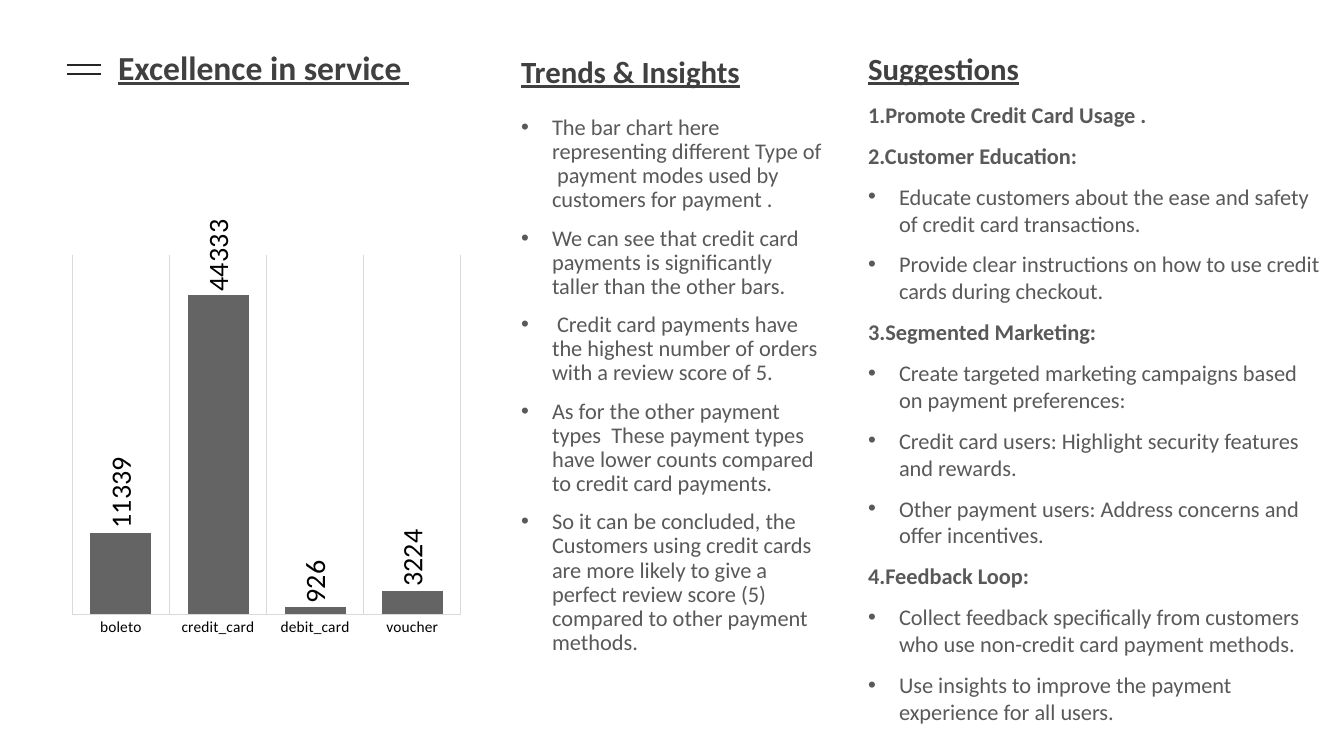
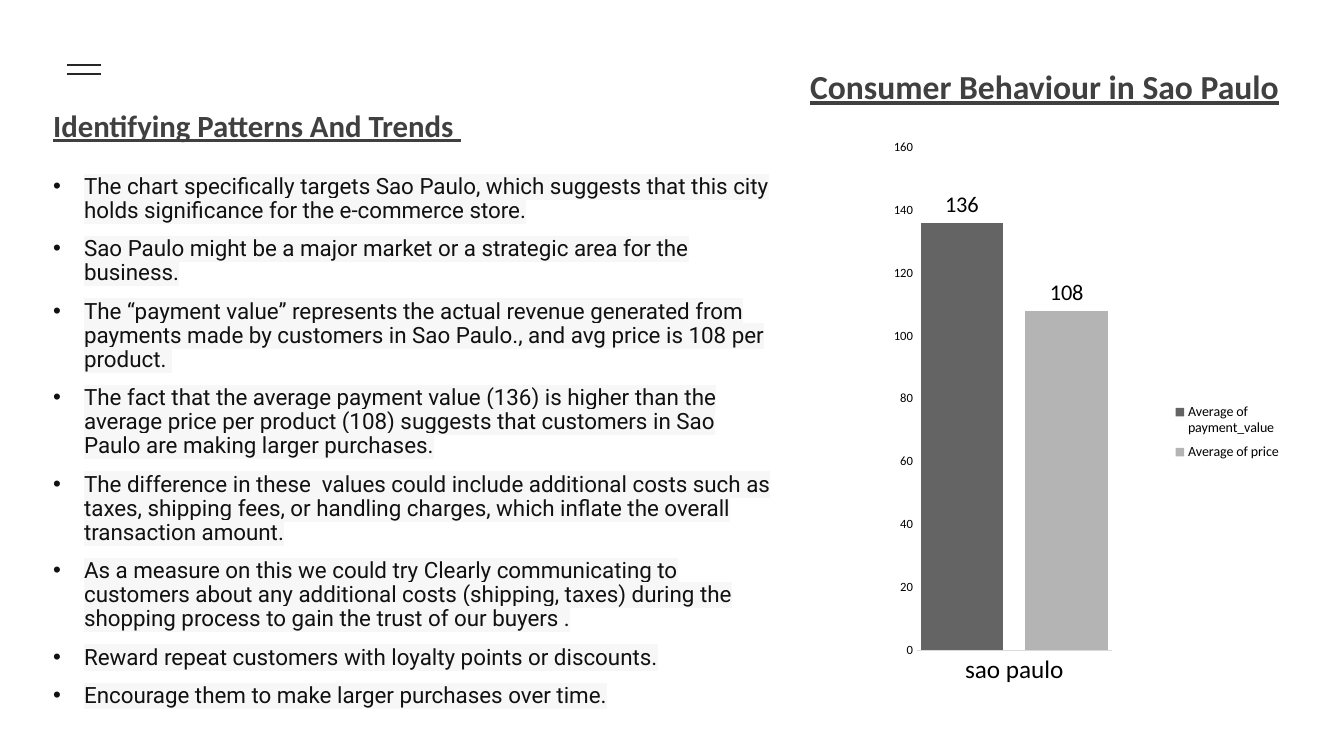
from dataclasses import dataclass

from pptx import Presentation
from pptx.chart.data import CategoryChartData
from pptx.dml.color import RGBColor
from pptx.enum.chart import XL_CHART_TYPE as ChartType, XL_LABEL_POSITION as LabelPosition
from pptx.enum.chart import XL_LEGEND_POSITION as LegendPosition, XL_TICK_MARK as TickMark
from pptx.enum.shapes import MSO_CONNECTOR as Connector
from pptx.enum.text import MSO_ANCHOR as Anchor, MSO_AUTO_SIZE as AutoSize, PP_ALIGN as Align
from pptx.oxml import parse_xml
from pptx.oxml.ns import nsdecls
from pptx.util import Emu, Pt


@dataclass(frozen=True)
class Theme:
    font: str = "Calibri"
    heading: str = "404040"
    body: str = "595959"
    ink: str = "111111"
    highlight: str = "F7F7F7"
    accent: str = "262626"
    chart_text: str = "000000"
    grid: str = "D9D9D9"
    bars: tuple = ("646464", "B4B4B4")
    title_size: int = 24
    heading_size: int = 22
    body_size: int = 16


THEME = Theme()
SLIDE_SIZE = (1344, 756)
ACCENT_X = (67, 101)
ACCENT_ROWS = (65, 74)
BULLET_INDENT = 31

INSIGHTS = [
    "The bar chart here representing different Type of  payment modes used by customers for payment .",
    "We can see that credit card payments is significantly taller than the other bars.",
    " Credit card payments have the highest number of orders with a review score of 5.",
    "As for the other payment types  These payment types have lower counts compared to credit card payments.",
    "So it can be concluded, the Customers using credit cards are more likely to give a perfect review score (5) "
    "compared to other payment methods.",
]
SUGGESTIONS = {
    "1.Promote Credit Card Usage .": [],
    "2.Customer Education:": [
        "Educate customers about the ease and safety of credit card transactions.",
        "Provide clear instructions on how to use credit cards during checkout.",
    ],
    "3.Segmented Marketing:": [
        "Create targeted marketing campaigns based on payment preferences:",
        "Credit card users: Highlight security features and rewards.",
        "Other payment users: Address concerns and offer incentives.",
    ],
    "4.Feedback Loop:": [
        "Collect feedback specifically from customers who use non-credit card payment methods.",
        "Use insights to improve the payment experience for all users.",
    ],
}
PATTERNS = [
    "The chart specifically targets Sao Paulo, which suggests that this city holds significance "
    "for the e-commerce store.",
    "Sao Paulo might be a major market or a strategic area for the business.",
    "The “payment value” represents the actual revenue generated from payments made by customers in Sao Paulo., "
    "and avg price is 108 per product. ",
    "The fact that the average payment value (136) is higher than the average price per product (108) suggests "
    "that customers in Sao Paulo are making larger purchases.",
    "The difference in these  values could include additional costs such as taxes, shipping fees, or handling "
    "charges, which inflate the overall transaction amount.",
    "As a measure on this we could try Clearly communicating to customers about any additional costs "
    "(shipping, taxes) during the shopping process to gain the trust of our buyers .",
    "Reward repeat customers with loyalty points or discounts.",
    "Encourage them to make larger purchases over time.",
]

SLIDES = [
    {
        "title": ("Excellence in service ", (108, 46, 357, 45), 0.9),
        "headings": {
            1: ("Trends & Insights", (511, 50, 322, 45)),
            3: ("Suggestions", (858, 47, 179, 45)),
        },
        "lists": {
            2: {"box": (511, 111, 322, 571), "groups": {"": INSIGHTS}},
            4: {"box": (858, 96, 477, 632), "groups": SUGGESTIONS, "spacing": 1.0},
        },
        "chart": {
            "box": (45, 111, 457, 599),
            "plot": (0.06, 0.24, 0.85, 0.6),
            "categories": ["boleto", "credit_card", "debit_card", "voucher"],
            "series": {"Series 1": [11339, 44333, 926, 3224]},
            "scale": (50000, 10000), "gap": 59, "overlap": -90,
            "category_size": 11, "label_size": 20,
            "label_turn": -90, "columns_ruled": True, "value_axis": False, "legend": None,
        },
    },
    {
        "title": ("Consumer Behaviour in Sao Paulo", (800, 61, 508, 49), 1.0),
        "headings": {1: ("Identifying Patterns And Trends ", (43, 100, 438, 49))},
        "lists": {
            2: {"box": (43, 170, 743, 545), "groups": {"": PATTERNS}, "font": "Roboto",
                "color": THEME.ink, "highlight": THEME.highlight},
        },
        "chart": {
            "box": (849, 111, 453, 606),
            "plot": (0.15, 0.06, 0.43, 0.83),
            "categories": ["sao paulo"],
            "series": {"Average of payment_value": [136], "Average of price": [108]},
            "scale": (160, 20), "gap": 9, "overlap": -27,
            "category_size": 18, "label_size": 16,
            "label_turn": 0, "columns_ruled": False, "value_axis": True,
            "legend": (0.7, 0.47, 0.27, 0.12),
        },
    },
]


def px(length):
    return Emu(round(length * 914400 / 100.8))


def style_font(font, size, color, name=THEME.font, bold=False):
    font.name, font.size, font.bold = name, Pt(size), bold
    font.color.rgb = RGBColor.from_string(color)


def style_line(line, color, width):
    line.color.rgb = RGBColor.from_string(color)
    line.width = Pt(width)


def place_text(shape, box, text, anchor, spacing, before=10):
    shape.left, shape.top, shape.width, shape.height = map(px, box)
    frame = shape.text_frame
    frame.text = text
    frame.word_wrap = True
    frame.auto_size = AutoSize.NONE
    frame.vertical_anchor = anchor
    for paragraph in frame.paragraphs:
        paragraph.alignment = Align.LEFT
        paragraph.line_spacing = spacing
        paragraph.space_before = Pt(before)
        paragraph.space_after = Pt(0)
    return frame.paragraphs


def set_bullets(shape, flags):
    for element, bulleted in zip(shape.element.xpath(".//a:p"), flags):
        properties = element.get_or_add_pPr()
        indent = px(BULLET_INDENT) if bulleted else 0
        properties.set("marL", str(indent))
        properties.set("indent", str(-indent))
        tag = 'buChar {} char="•"' if bulleted else "buNone {}"
        properties.append(parse_xml(f"<a:{tag.format(nsdecls('a'))}/>"))


def add_heading(shape, text, box, size, anchor, spacing=0.9, before=10):
    for paragraph in place_text(shape, box, text, anchor, spacing, before):
        for run in paragraph.runs:
            style_font(run.font, size, THEME.heading, bold=True)
            run.font.underline = True
    set_bullets(shape, [False])


def add_list(shape, box, groups, spacing=0.9, font=THEME.font, color=THEME.body, highlight=None):
    rows = []
    for heading, items in groups.items():
        rows += [(heading, False)] if heading else []
        rows += [(item, True) for item in items]
    flags = [bulleted for _, bulleted in rows]
    paragraphs = place_text(shape, box, "\n".join(text for text, _ in rows), Anchor.TOP, spacing)
    for paragraph, bulleted in zip(paragraphs, flags):
        for run in paragraph.runs:
            style_font(run.font, THEME.body_size, color, font, bold=not bulleted)
    set_bullets(shape, flags)
    if highlight:
        for fill in shape.element.xpath(".//a:rPr/a:solidFill"):
            fill.addnext(parse_xml(
                f'<a:highlight {nsdecls("a")}><a:srgbClr val="{highlight}"/></a:highlight>'))


def set_layout(parent, index, box, inner=False):
    for layout in parent.xpath("./c:layout"):
        parent.remove(layout)
    target = '<c:layoutTarget val="inner"/>' if inner else ""
    modes = "".join(f'<c:{edge}Mode val="edge"/>' for edge in "xy")
    values = "".join(f'<c:{edge} val="{value}"/>' for edge, value in zip("xywh", box))
    parent.insert(index, parse_xml(
        f'<c:layout {nsdecls("c")}><c:manualLayout>{target}{modes}{values}</c:manualLayout></c:layout>'))


def style_axes(chart, content):
    category, value = chart.category_axis, chart.value_axis
    style_font(category.tick_labels.font, content["category_size"], THEME.chart_text)
    style_line(category.format.line, THEME.grid, 0.75)
    category.has_major_gridlines = content["columns_ruled"]
    if content["columns_ruled"]:
        style_line(category.major_gridlines.format.line, THEME.grid, 0.75)
    value.has_major_gridlines = False
    value.minimum_scale = 0
    value.maximum_scale, value.major_unit = content["scale"]
    value.visible = content["value_axis"]
    value.format.line.fill.background()
    style_font(value.tick_labels.font, 9, THEME.chart_text)
    value.tick_labels.number_format = "0"
    value.tick_labels.number_format_is_linked = False
    for axis in (category, value):
        axis.major_tick_mark = axis.minor_tick_mark = TickMark.NONE


def add_bars(slide, content):
    data = CategoryChartData()
    data.categories = content["categories"]
    for name, values in content["series"].items():
        data.add_series(name, values)
    chart = slide.shapes.add_chart(ChartType.COLUMN_CLUSTERED, *map(px, content["box"]), data).chart
    chart.has_title = False
    style_font(chart.font, 10, THEME.chart_text)
    style_axes(chart, content)
    plot = chart.plots[0]
    plot.gap_width, plot.overlap = content["gap"], content["overlap"]
    plot.vary_by_categories = False
    for series, color in zip(plot.series, THEME.bars):
        series.format.fill.solid()
        series.format.fill.fore_color.rgb = RGBColor.from_string(color)
        labels = series.data_labels
        labels.show_value = True
        labels.position = LabelPosition.OUTSIDE_END
        labels.number_format, labels.number_format_is_linked = "0", False
        style_font(labels.font, content["label_size"], THEME.chart_text)
    for body in chart.element.xpath(".//c:dLbls//a:bodyPr"):
        body.set("rot", str(content["label_turn"] * 60000))
        body.set("vert", "horz")
    set_layout(chart.element.xpath(".//c:plotArea")[0], 0, content["plot"], inner=True)
    chart.has_legend = bool(content["legend"])
    if content["legend"]:
        chart.legend.position = LegendPosition.RIGHT
        chart.legend.include_in_layout = False
        style_font(chart.legend.font, 10, THEME.chart_text)
        set_layout(chart.element.xpath(".//c:legend")[0], 1, content["legend"])


def add_accent(slide, layout):
    left, right = ACCENT_X
    for number, y in enumerate(ACCENT_ROWS):
        connector = slide.shapes.add_connector(Connector.STRAIGHT, px(left), px(y), px(right), px(y))
        style_line(connector.line, THEME.accent, 1.5)
        connector.element.spPr.append(parse_xml(f'<a:effectLst {nsdecls("a")}/>'))
        connector.element.xpath("./p:nvCxnSpPr/p:cNvPr")[0].set("id", str(100 + number))
        layout.shapes.element.append(connector.element)


def build_slide(slide, content):
    placeholders = {shape.placeholder_format.idx: shape for shape in slide.placeholders}
    title, box, spacing = content["title"]
    add_heading(placeholders.pop(0), title, box, THEME.title_size, Anchor.TOP, spacing, before=0)
    for index, (text, box) in content["headings"].items():
        add_heading(placeholders.pop(index), text, box, THEME.heading_size, Anchor.BOTTOM)
    for index, items in content["lists"].items():
        add_list(placeholders.pop(index), **items)
    for shape in placeholders.values():
        shape.element.getparent().remove(shape.element)
    add_bars(slide, content["chart"])


def main():
    presentation = Presentation()
    presentation.slide_width, presentation.slide_height = map(px, SLIDE_SIZE)
    layout = presentation.slide_layouts.get_by_name("Comparison")
    slides = [presentation.slides.add_slide(layout) for _ in SLIDES]
    add_accent(slides[0], layout)
    for slide, content in zip(slides, SLIDES):
        build_slide(slide, content)
    presentation.save("out.pptx")


if __name__ == "__main__":
    main()
